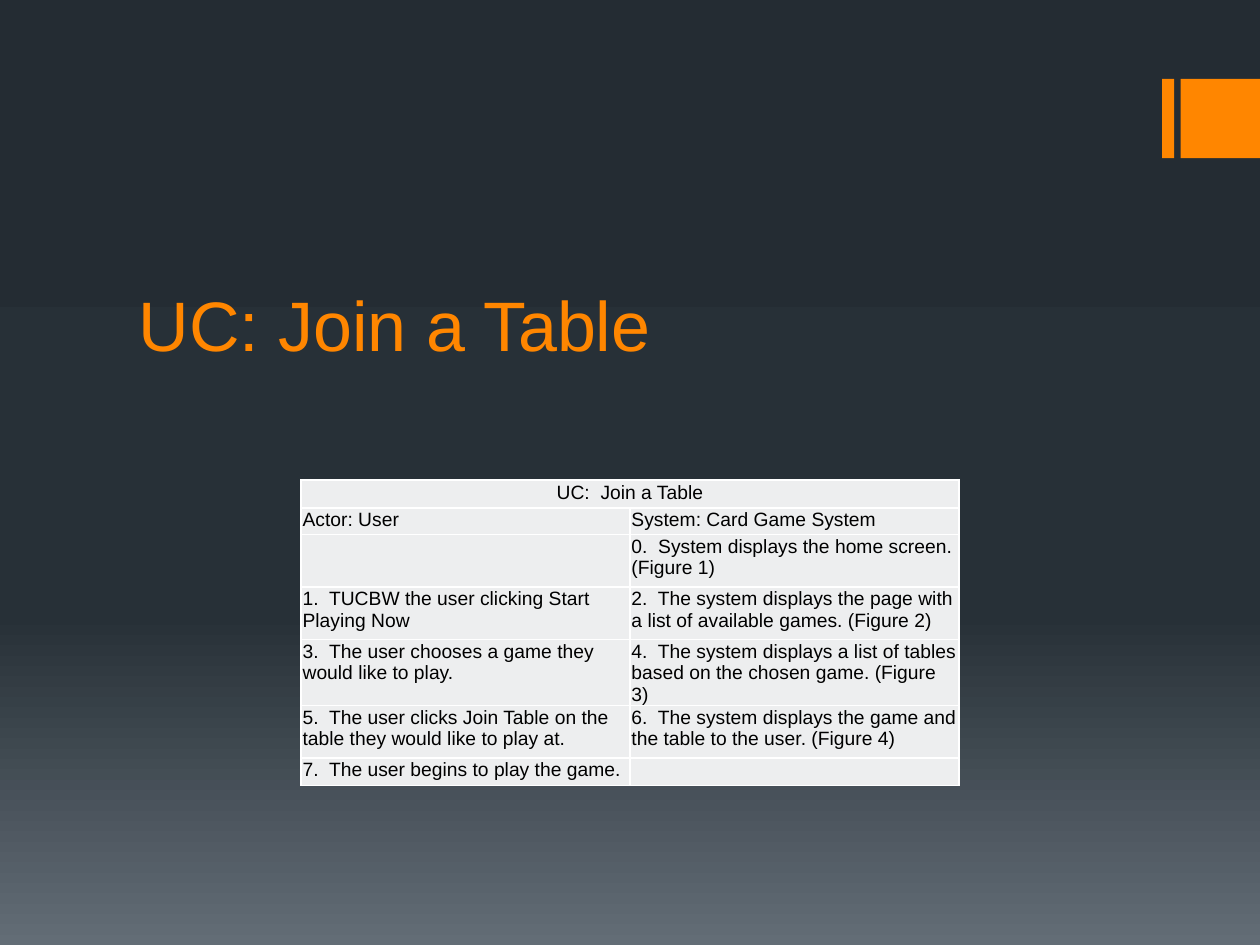
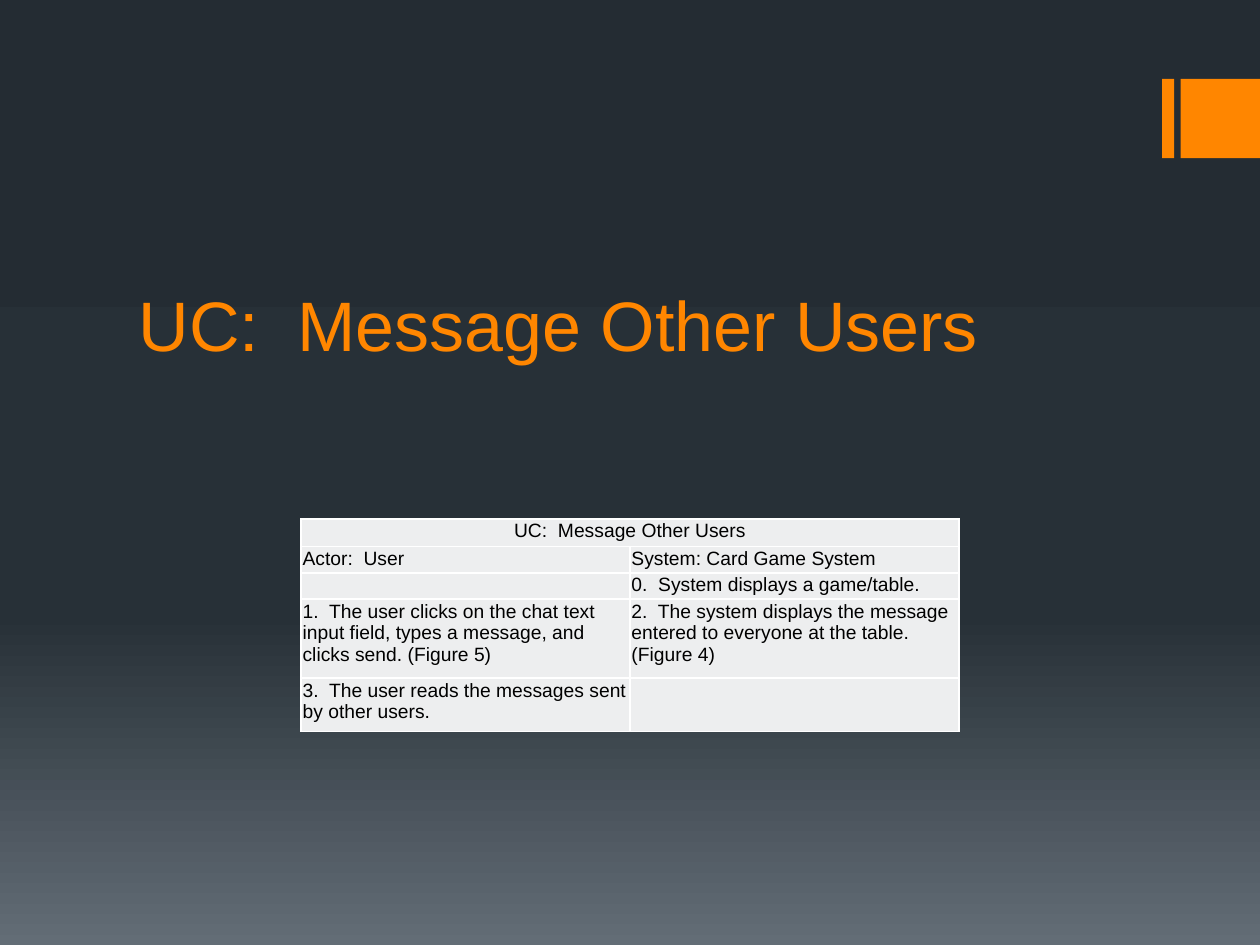
"""Build two use-case slides, each with a title and an actor/system table."""
from copy import deepcopy
from dataclasses import dataclass

from lxml import etree
from pptx import Presentation
from pptx import util as u
from pptx.dml import color
from pptx.enum import shapes, text
from pptx.oxml import ns

COLORS = {
    "accent": "FF8600",
    "cell": "EDEEEF",
    "border": "FFFFFF",
    "ink": "000000",
}
BACKGROUND_STOPS = [(0, "242C33"), (0.65, "273037"), (1, "636D76")]
FONT = "Arial"
SLIDE_WIDTH, SLIDE_HEIGHT = u.Cm(25.4), u.Cm(19.05)
COLUMN_WIDTH = u.Cm(6.63)
CELL_MARGIN = u.Cm(0.03)
BORDER_WIDTH = u.Pt(1)


@dataclass(frozen=True)
class Band:
    """An accent block at the right edge, in centimetres."""

    left: float
    width: float
    top: float = 1.59
    height: float = 1.6


@dataclass(frozen=True)
class Step:
    """One table row: its height in centimetres and both texts."""

    height: float
    actor: str = ""
    system: str = ""


@dataclass(frozen=True)
class UseCase:
    """A slide's title, table top in centimetres and table rows."""

    title: str
    heading: str
    table_top: float
    steps: tuple[Step, ...]


BANDS = (Band(23.43, 0.24), Band(23.8, 1.6))

USE_CASES = (
    UseCase("UC: Join a Table", "UC:  Join a Table", 9.68, (
        Step(0.53, "Actor: User", "System: Card Game System"),
        Step(1.06, system="0.  System displays the home screen. (Figure 1)"),
        Step(1.06, "1.  TUCBW the user clicking Start Playing Now",
             "2.  The system displays the page with a list of available games. (Figure 2)"),
        Step(1.06, "3.  The user chooses a game they would like to play.",
             "4.  The system displays a list of tables based on the chosen game. (Figure 3)"),
        Step(1.06, "5.  The user clicks Join Table on the table they would like to play at.",
             "6.  The system displays the game and the table to the user. (Figure 4)"),
        Step(0.56, "7.  The user begins to play the game."),
    )),
    UseCase("UC:  Message Other Users", "UC:  Message Other Users", 10.46, (
        Step(0.53, "Actor:  User", "System: Card Game System"),
        Step(0.53, system="0.  System displays a game/table."),
        Step(1.59, "1.  The user clicks on the chat text input field, types a message, "
             "and clicks send. (Figure 5)",
             "2.  The system displays the message entered to everyone at the table. (Figure 4)"),
        Step(1.08, "3.  The user reads the messages sent by other users."),
    )),
)


def rgb(name: str) -> color.RGBColor:
    """Return the named colour."""
    return color.RGBColor.from_string(COLORS[name])


def set_background(master) -> None:
    """Give the slide master its three-stop vertical gradient."""
    fill = master.background.fill
    fill.gradient()
    fill.gradient_angle = 270
    stop_list = next(master.element.iter(ns.qn("a:gsLst")))
    stop_list.append(deepcopy(stop_list[-1]))
    for stop, (position, value) in zip(fill.gradient_stops, BACKGROUND_STOPS):
        stop.position = position
        stop.color.rgb = color.RGBColor.from_string(value)


def format_paragraph(paragraph, size: float, color_name: str, alignment) -> None:
    """Set a paragraph's font and alignment."""
    paragraph.alignment = alignment
    paragraph.font.name = FONT
    paragraph.font.size = u.Pt(size)
    paragraph.font.color.rgb = rgb(color_name)


def draw_band(slide, band: Band) -> None:
    """Draw one accent block."""
    shape = slide.shapes.add_shape(
        shapes.MSO_SHAPE.RECTANGLE,
        u.Cm(band.left), u.Cm(band.top), u.Cm(band.width), u.Cm(band.height))
    shape.shadow.inherit = False
    shape.fill.solid()
    shape.fill.fore_color.rgb = rgb("accent")
    shape.line.fill.background()


def write_title(slide, title: str) -> None:
    """Place and format the title placeholder."""
    shape = slide.shapes.title
    shape.left, shape.top = u.Cm(2.54), u.Cm(4.29)
    shape.width, shape.height = u.Cm(20.32), u.Cm(3.2)
    frame = shape.text_frame
    frame.text = title
    frame.auto_size = text.MSO_AUTO_SIZE.NONE
    frame.vertical_anchor = text.MSO_ANCHOR.BOTTOM
    format_paragraph(frame.paragraphs[0], 40, "accent", text.PP_ALIGN.LEFT)


def add_borders(cell) -> None:
    """Outline a cell on all four sides."""
    properties = cell._tc.get_or_add_tcPr()
    for index, side in enumerate(("lnL", "lnR", "lnT", "lnB")):
        line = etree.Element(ns.qn(f"a:{side}"), w=str(BORDER_WIDTH))
        fill = etree.SubElement(line, ns.qn("a:solidFill"))
        etree.SubElement(fill, ns.qn("a:srgbClr"), val=COLORS["border"])
        properties.insert(index, line)


def write_cell(cell, content: str, alignment=text.PP_ALIGN.LEFT) -> None:
    """Fill, outline and label one table cell."""
    cell.margin_left = cell.margin_right = cell.margin_top = CELL_MARGIN
    cell.margin_bottom = 0
    cell.fill.solid()
    cell.fill.fore_color.rgb = rgb("cell")
    add_borders(cell)
    cell.text = content
    format_paragraph(cell.text_frame.paragraphs[0], 11, "ink", alignment)


def draw_table(slide, use_case: UseCase) -> None:
    """Draw the centred table with a merged heading row."""
    rows = (Step(0.56, use_case.heading), *use_case.steps)
    width = 2 * COLUMN_WIDTH
    height = u.Cm(sum(row.height for row in rows))
    table = slide.shapes.add_table(
        len(rows), 2, (SLIDE_WIDTH - width) // 2, u.Cm(use_case.table_top), width, height).table
    table.first_row = table.horz_banding = False
    for index, row in enumerate(rows):
        table.rows[index].height = u.Cm(row.height)
        alignment = text.PP_ALIGN.LEFT if index else text.PP_ALIGN.CENTER
        for column, content in enumerate((row.actor, row.system)):
            write_cell(table.cell(index, column), content, alignment)
    table.cell(0, 0).merge(table.cell(0, 1))


def main() -> None:
    """Build and save the presentation."""
    presentation = Presentation()
    presentation.slide_width, presentation.slide_height = SLIDE_WIDTH, SLIDE_HEIGHT
    set_background(presentation.slide_master)
    title_only = presentation.slide_layouts.get_by_name("Title Only")
    for use_case in USE_CASES:
        slide = presentation.slides.add_slide(title_only)
        for band in BANDS:
            draw_band(slide, band)
        write_title(slide, use_case.title)
        draw_table(slide, use_case)
    presentation.save("out.pptx")


if __name__ == "__main__":
    main()
